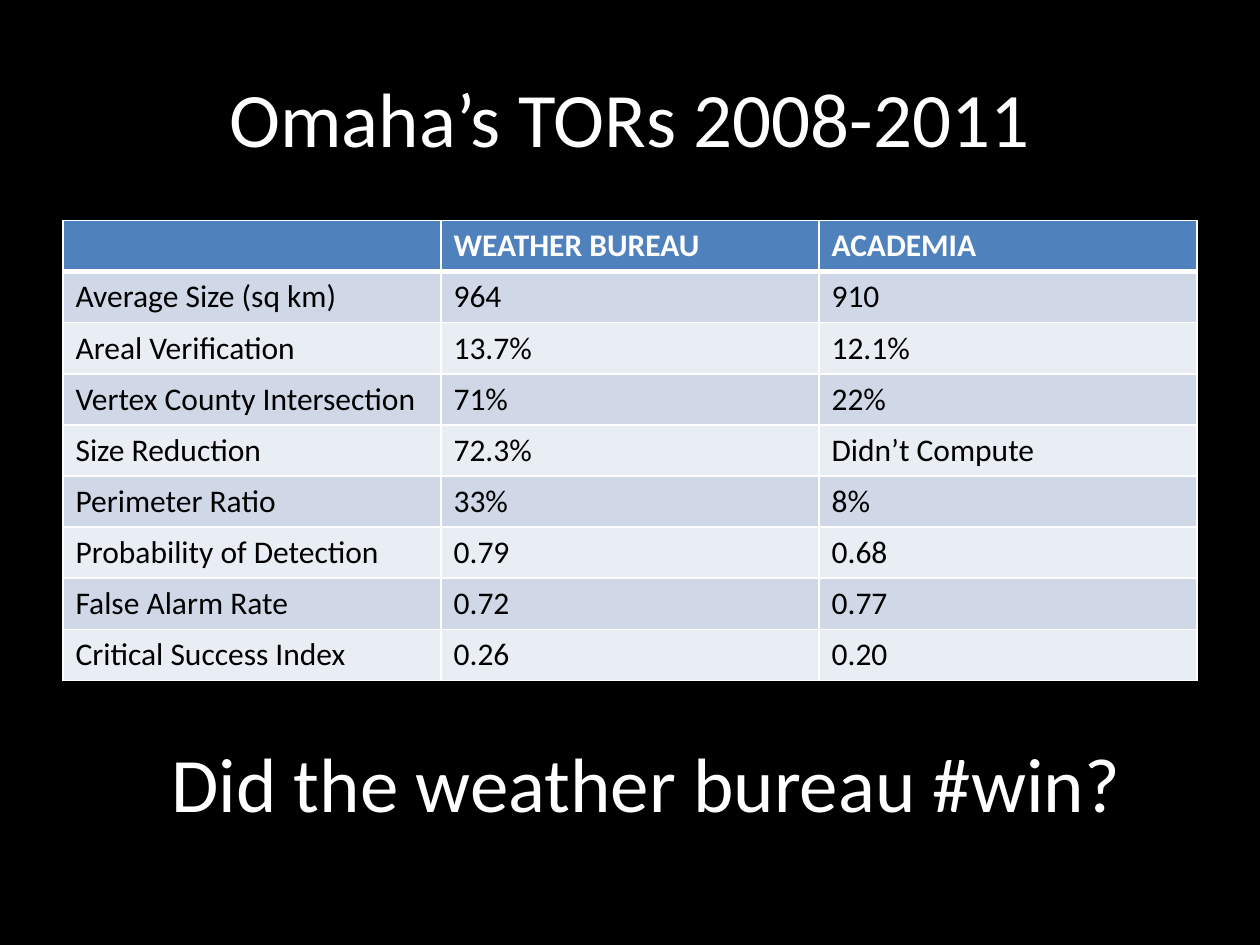
from lxml.etree import SubElement
from pptx import Presentation
from pptx.dml.color import RGBColor
from pptx.enum.text import MSO_ANCHOR, PP_ALIGN
from pptx.oxml.ns import qn
from pptx.util import Inches, Pt

HEADINGS = [
    ("Omaha’s TORs 2008-2011", 0.5, 0.3),
    ("Did the weather bureau #win?", 0.63, 5.58),
]
SCORES = [
    ("", "WEATHER BUREAU", "ACADEMIA"),
    ("Average Size (sq km)", "964", "910"),
    ("Areal Verification", "13.7%", "12.1%"),
    ("Vertex County Intersection", "71%", "22%"),
    ("Size Reduction", "72.3%", "Didn’t Compute"),
    ("Perimeter Ratio", "33%", "8%"),
    ("Probability of Detection", "0.79", "0.68"),
    ("False Alarm Rate", "0.72", "0.77"),
    ("Critical Success Index", "0.26", "0.20"),
]
COLORS = {
    "background": "000000",
    "light": "FFFFFF",
    "dark": "000000",
    "header": "4F81BD",
    "odd": "D0D8E8",
    "even": "E9EDF4",
}
FONT = "Calibri"
CONTENT_WIDTH = 9
TABLE_HEIGHT = 3.65


def rgb(name):
    return RGBColor.from_string(COLORS[name])


def style(paragraph, size, color, bold=False):
    font = paragraph.font
    font.name, font.size, font.bold = FONT, Pt(size), bold
    font.color.rgb = rgb(color)


def add_heading(slide, text, left, top):
    heading = slide.shapes.add_textbox(
        Inches(left), Inches(top), Inches(CONTENT_WIDTH), Inches(1.25))
    frame = heading.text_frame
    frame.word_wrap = True
    frame.vertical_anchor = MSO_ANCHOR.MIDDLE
    paragraph = frame.paragraphs[0]
    paragraph.text = text
    paragraph.alignment = PP_ALIGN.CENTER
    style(paragraph, 44, "light")


def add_borders(cell, widths):
    properties = cell._tc.get_or_add_tcPr()
    for side, width in widths.items():
        line = SubElement(properties, qn(f"a:ln{side}"), w=str(Pt(width)))
        fill = SubElement(line, qn("a:solidFill"))
        SubElement(fill, qn("a:srgbClr"), val=COLORS["light"])


def add_scores(slide):
    table = slide.shapes.add_table(
        len(SCORES), len(SCORES[0]), Inches(0.5), Inches(1.75),
        Inches(CONTENT_WIDTH), Inches(TABLE_HEIGHT)).table
    for r, row in enumerate(SCORES):
        is_header = r == 0
        band = "header" if is_header else "odd" if r % 2 else "even"
        widths = {"L": 1, "R": 1, "T": 3 if r == 1 else 1, "B": 3 if is_header else 1}
        for c, text in enumerate(row):
            cell = table.cell(r, c)
            cell.text = text
            add_borders(cell, widths)
            cell.fill.solid()
            cell.fill.fore_color.rgb = rgb(band)
            style(cell.text_frame.paragraphs[0], 18,
                  "light" if is_header else "dark", is_header)


def main():
    deck = Presentation()
    deck.slide_width, deck.slide_height = Inches(10), Inches(7.5)
    slide = deck.slides.add_slide(deck.slide_layouts[6])
    slide.background.fill.solid()
    slide.background.fill.fore_color.rgb = rgb("background")
    for heading in HEADINGS:
        add_heading(slide, *heading)
    add_scores(slide)
    deck.save("out.pptx")


if __name__ == "__main__":
    main()
